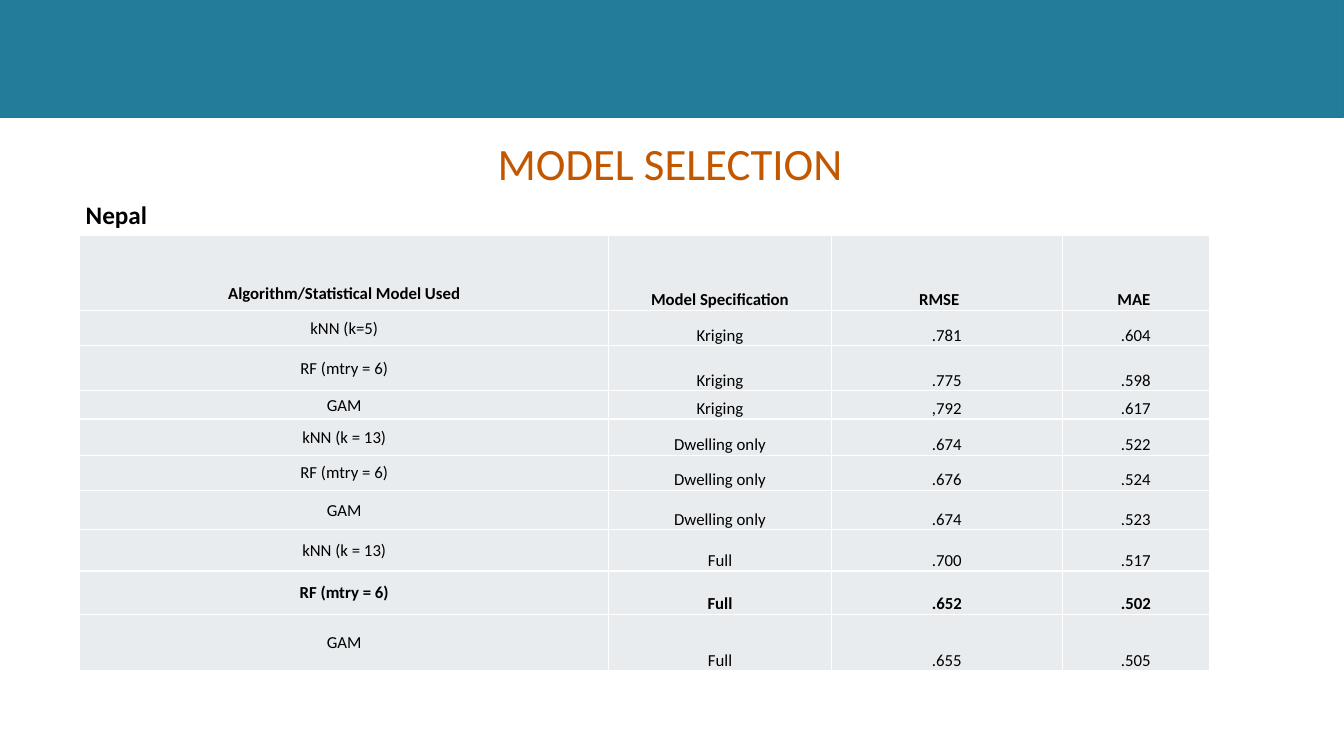
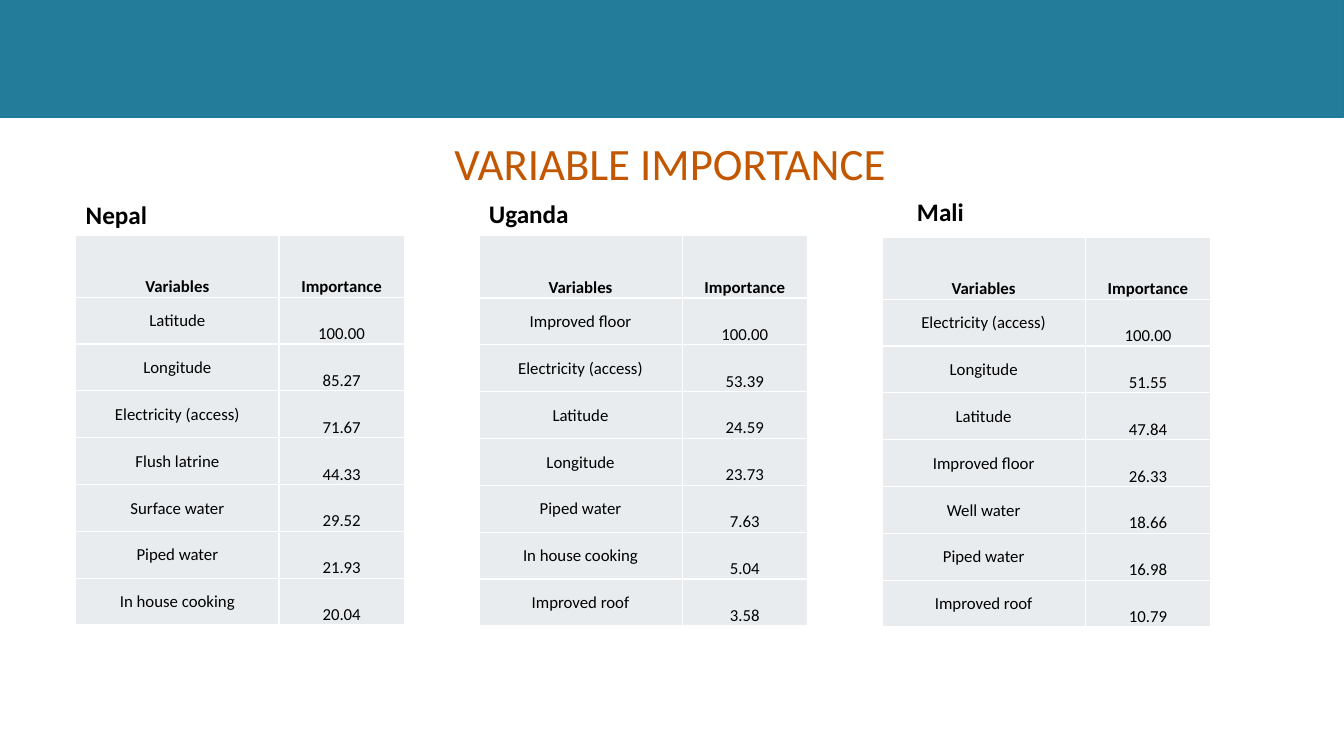
from lxml import etree
from pptx import Presentation
from pptx.dml.color import RGBColor
from pptx.enum import shapes, text
from pptx.oxml import ns
from pptx.util import Cm, Pt

BAND = RGBColor(0x23, 0x7C, 0x9A)
BAND_EDGE = RGBColor(0x1F, 0x7B, 0x9A)
TITLE = RGBColor(0xC2, 0x57, 0x00)
INK = RGBColor(0x00, 0x00, 0x00)
CELL = RGBColor(0xE8, 0xEC, 0xEF)
GRID = RGBColor(0xFF, 0xFF, 0xFF)

FONT = "Calibri"
SLIDE_WIDTH, SLIDE_HEIGHT = 33.87, 19.05
TITLE_FORMAT = {"size": Pt(32), "bold": False}
LABEL_FORMAT = {"size": Pt(18), "bold": True}
HEADER_FORMAT = {"size": Pt(12), "bold": True}
BODY_FORMAT = {"size": Pt(12), "bold": False}
TITLE_MARGINS = {"margin_left": 0.25, "margin_top": 0.13,
                 "margin_right": 0.25, "margin_bottom": 0}
CELL_MARGINS = {"margin_left": 0.02, "margin_top": 0.02,
                "margin_right": 0.02, "margin_bottom": 0}
FIRST_HEADER_DROP = 1.05

MODEL_COLUMNS = [13.33, 5.61, 5.82, 3.71]
MODEL_ROWS = [1.88, 0.89, 1.14, 0.71, 0.91, 0.89, 0.99, 1.04, 1.09, 1.42]
MODEL_HEADER_INSETS = {2: 0.4, 3: 0.12}
MODELS = [
    ("Algorithm/Statistical Model Used", "Model Specification", "RMSE", "MAE"),
    ("kNN (k=5)", "Kriging", ".781", ".604"),
    ("RF (mtry = 6)", "Kriging", ".775", ".598"),
    ("GAM", "Kriging", ",792", ".617"),
    ("kNN (k = 13)", "Dwelling only", ".674", ".522"),
    ("RF (mtry = 6)", "Dwelling only", ".676", ".524"),
    ("GAM", "Dwelling only", ".674", ".523"),
    ("kNN (k = 13)", "Full", ".700", ".517"),
    ("RF (mtry = 6)", "Full", ".652", ".502"),
    ("GAM", "Full", ".655", ".505"),
]
BEST_MODEL_ROW = 8

IMPORTANCE_COLUMNS = [5.12, 3.16]
IMPORTANCE_ROWS = [1.57] + [1.18] * 7
IMPORTANCE_HEADER = ("Variables", "Importance")
COUNTRY_LEFT, COUNTRY_STEP = 1.91, 10.16
COUNTRIES = [
    ("Nepal", (1.91, 4.9, 2.08), 5.92, [
        ("Latitude", "100.00"), ("Longitude", "85.27"),
        ("Electricity (access)", "71.67"), ("Flush latrine", "44.33"),
        ("Surface water", "29.52"), ("Piped water", "21.93"),
        ("In house cooking", "20.04")]),
    ("Uganda", (12.07, 4.88, 2.54), 5.94, [
        ("Improved floor", "100.00"), ("Electricity (access)", "53.39"),
        ("Latitude", "24.59"), ("Longitude", "23.73"),
        ("Piped water", "7.63"), ("In house cooking", "5.04"),
        ("Improved roof", "3.58")]),
    ("Mali", (22.86, 4.83, 1.7), 5.97, [
        ("Electricity (access)", "100.00"), ("Longitude", "51.55"),
        ("Latitude", "47.84"), ("Improved floor", "26.33"),
        ("Well water", "18.66"), ("Piped water", "16.98"),
        ("Improved roof", "10.79")]),
]


def set_all(target, values):
    for name, value in values.items():
        setattr(target, name, value)


def set_margins(target, margins):
    set_all(target, {name: Cm(value) for name, value in margins.items()})


def write(frame, words, font_format, color=INK, alignment=text.PP_ALIGN.CENTER):
    paragraph = frame.paragraphs[0]
    paragraph.alignment = alignment
    run = paragraph.add_run()
    run.text = words
    set_all(run.font, {"name": FONT, **font_format})
    run.font.color.rgb = color


def add_titled_slide(presentation, title):
    slide = presentation.slides.add_slide(presentation.slide_layouts[6])
    band = slide.shapes.add_shape(
        shapes.MSO_SHAPE.RECTANGLE, 0, 0, Cm(SLIDE_WIDTH), Cm(2.95))
    band.shadow.inherit = False
    band.fill.solid()
    band.fill.fore_color.rgb = BAND
    band.line.color.rgb = BAND_EDGE
    band.line.width = Pt(0.75)

    frame = slide.shapes.add_textbox(
        Cm(1.65), Cm(3.2), Cm(30.48), Cm(1.65)).text_frame
    set_margins(frame, TITLE_MARGINS)
    set_all(frame, {"word_wrap": True,
                    "vertical_anchor": text.MSO_ANCHOR.MIDDLE})
    write(frame, title, TITLE_FORMAT, TITLE)
    return slide


def add_label(slide, words, left, top, width):
    frame = slide.shapes.add_textbox(
        Cm(left), Cm(top), Cm(width), Cm(1.02)).text_frame
    frame.word_wrap = False
    write(frame, words, LABEL_FORMAT, alignment=text.PP_ALIGN.LEFT)


def add_borders(cell):
    properties = cell._tc.get_or_add_tcPr()
    for side in ("a:lnL", "a:lnR", "a:lnT", "a:lnB"):
        line = etree.SubElement(properties, ns.qn(side), w=str(Pt(1)))
        fill = etree.SubElement(line, ns.qn("a:solidFill"))
        etree.SubElement(fill, ns.qn("a:srgbClr"), val=str(GRID))


def format_cell(cell, words, font_format, is_first_column):
    add_borders(cell)
    cell.fill.solid()
    cell.fill.fore_color.rgb = CELL
    set_margins(cell, CELL_MARGINS)
    cell.vertical_anchor = (text.MSO_ANCHOR.MIDDLE if is_first_column
                            else text.MSO_ANCHOR.BOTTOM)
    write(cell.text_frame, words, font_format)


def add_data_table(slide, left, top, widths, heights, rows, bold_rows=(0,)):
    table = slide.shapes.add_table(
        len(rows), len(widths), Cm(left), Cm(top),
        Cm(sum(widths)), Cm(sum(heights))).table
    set_all(table, {"first_row": False, "horz_banding": False})
    for column, width in zip(table.columns, widths):
        column.width = Cm(width)
    for row, height in zip(table.rows, heights):
        row.height = Cm(height)
    for row_index, values in enumerate(rows):
        font_format = HEADER_FORMAT if row_index in bold_rows else BODY_FORMAT
        for column_index, words in enumerate(values):
            format_cell(table.cell(row_index, column_index), words,
                        font_format, column_index == 0)
    table.cell(0, 0).margin_top = Cm(FIRST_HEADER_DROP)
    return table


def add_model_slide(presentation):
    slide = add_titled_slide(presentation, "MODEL SELECTION")
    table = add_data_table(slide, 2.01, 5.94, MODEL_COLUMNS, MODEL_ROWS,
                           MODELS, (0, BEST_MODEL_ROW))
    for column_index, inset in MODEL_HEADER_INSETS.items():
        table.cell(0, column_index).margin_right = Cm(inset)
    country, label_place = COUNTRIES[0][:2]
    add_label(slide, country, *label_place)


def add_importance_slide(presentation):
    slide = add_titled_slide(presentation, "VARIABLE IMPORTANCE")
    for index, (country, label_place, top, variables) in enumerate(COUNTRIES):
        add_label(slide, country, *label_place)
        add_data_table(slide, COUNTRY_LEFT + index * COUNTRY_STEP, top,
                       IMPORTANCE_COLUMNS, IMPORTANCE_ROWS,
                       [IMPORTANCE_HEADER] + variables)


def main():
    presentation = Presentation()
    set_all(presentation, {"slide_width": Cm(SLIDE_WIDTH),
                           "slide_height": Cm(SLIDE_HEIGHT)})
    add_model_slide(presentation)
    add_importance_slide(presentation)
    presentation.save("out.pptx")


if __name__ == "__main__":
    main()
